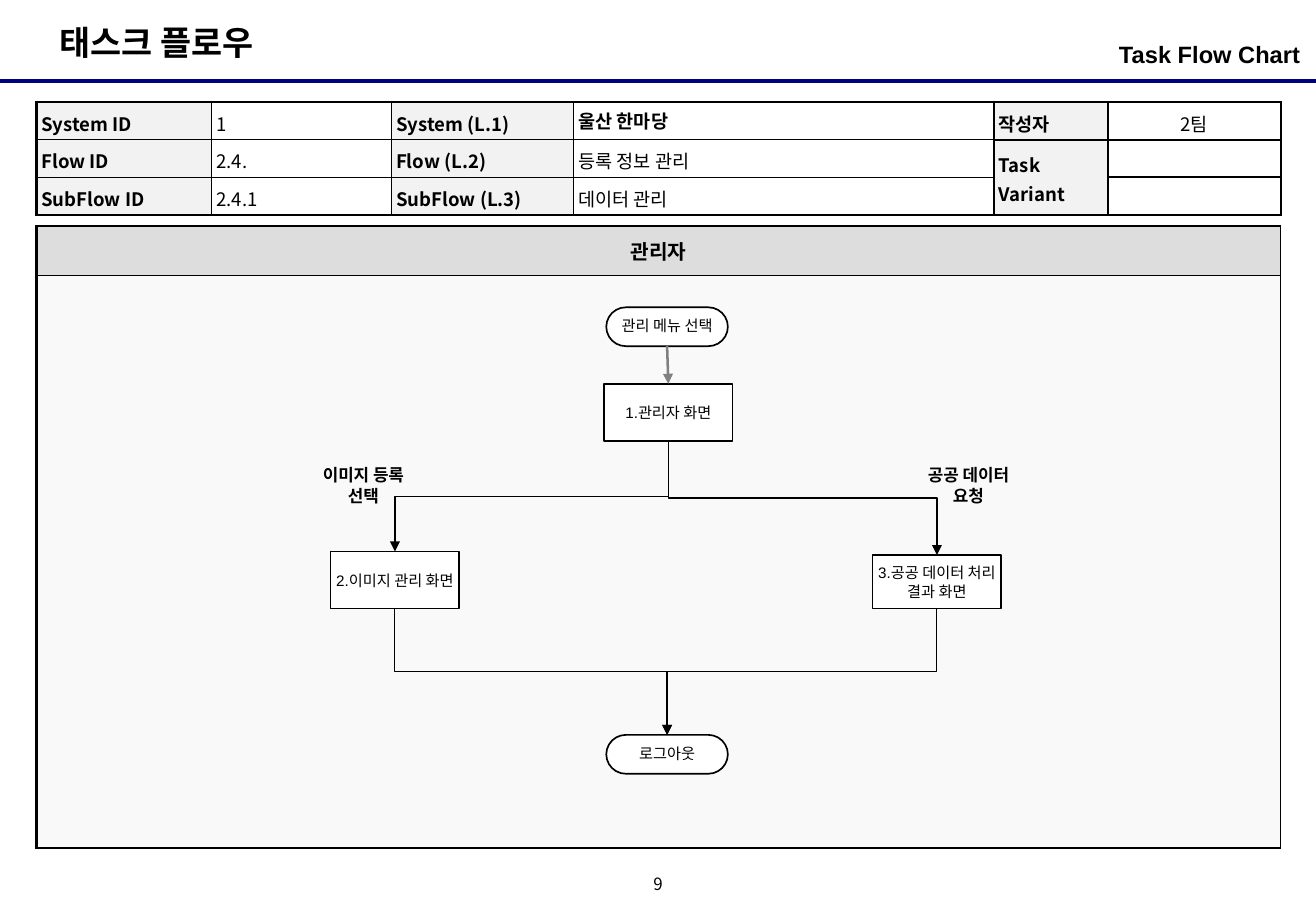
from lxml import etree
from pptx import Presentation
from pptx import util as u
from pptx.dml.color import RGBColor
from pptx.enum import shapes, text
from pptx.oxml.ns import qn

BLACK = RGBColor(0x00, 0x00, 0x00)
WHITE = RGBColor(0xFF, 0xFF, 0xFF)
NAVY = RGBColor(0x00, 0x00, 0x80)
GRAY = RGBColor(0x80, 0x80, 0x80)
HEADING_FILL = RGBColor(0xDD, 0xDD, 0xDD)
LABEL_FILL = RGBColor(0xF2, 0xF2, 0xF2)
FLOW_FILL = RGBColor(0xF9, 0xF9, 0xF9)

ARIAL = "Arial"
NOTO = "Noto Sans CJK KR"
LEFT, CENTER, RIGHT = text.PP_ALIGN.LEFT, text.PP_ALIGN.CENTER, text.PP_ALIGN.RIGHT
TOP, MIDDLE = text.MSO_ANCHOR.TOP, text.MSO_ANCHOR.MIDDLE

TERMINATOR = shapes.MSO_SHAPE.FLOWCHART_TERMINATOR
SCREEN = shapes.MSO_SHAPE.RECTANGLE
TOP_SITE, BOTTOM_SITE = 0, 2

LABEL_COLUMNS = (0, 2, 4)
FLOW_INFO = [
    ["System ID", "1", "System (L.1)", "울산 한마당", "작성자", "2팀"],
    ["Flow ID", "2.4.", "Flow (L.2)", "등록 정보 관리", "Task Variant", ""],
    ["SubFlow ID", "2.4.1", "SubFlow (L.3)", "데이터 관리", "", ""],
]


def apply(target, values):
    for name, value in values.items():
        setattr(target, name, value)


def margins(horizontal, vertical):
    return {"margin_left": u.Inches(horizontal), "margin_right": u.Inches(horizontal),
            "margin_top": u.Inches(vertical), "margin_bottom": u.Inches(vertical)}


def write(frame, wording, size, font=NOTO, bold=False, **layout):
    paragraph = frame.paragraphs[0]
    apply(paragraph, layout)
    if not wording:
        etree.SubElement(paragraph._p, qn("a:endParaRPr"), sz=str(size * 100))
        return
    run = paragraph.add_run()
    run.text = wording
    apply(run.font, {"size": u.Pt(size), "name": font, "bold": bold})
    run.font.color.rgb = BLACK
    etree.SubElement(run._r.get_or_add_rPr(), qn("a:ea"), typeface=NOTO)


def add_label(slide, box, wording, size, frame_format, **style):
    label = slide.shapes.add_textbox(*map(u.Inches, box))
    apply(label.text_frame, {"word_wrap": True, **frame_format})
    write(label.text_frame, wording, size, **style)


def add_step(slide, kind, box, wording, **layout):
    step = slide.shapes.add_shape(kind, *map(u.Inches, box))
    step.shadow.inherit = False
    step.fill.solid()
    step.fill.fore_color.rgb = WHITE
    step.line.color.rgb = BLACK
    step.line.width = u.Pt(1)
    apply(step.text_frame, {"word_wrap": True, "vertical_anchor": MIDDLE, **margins(0.02, 0)})
    write(step.text_frame, wording, 9, ARIAL, alignment=CENTER, **layout)
    return step


def style_line(line, color, width, arrow=False):
    line.line.color.rgb = color
    line.line.width = u.Pt(width)
    properties = line._element.spPr
    if arrow:
        etree.SubElement(properties.find(qn("a:ln")), qn("a:tailEnd"), type="triangle")
    etree.SubElement(properties, qn("a:effectLst"))


def connect(slide, kind, source, target, color=BLACK, width=0.75):
    arrow = slide.shapes.add_connector(kind, 0, 0, 0, 0)
    arrow.begin_connect(source, BOTTOM_SITE)
    arrow.end_connect(target, TOP_SITE)
    if kind == shapes.MSO_CONNECTOR.ELBOW:
        turn_downward(arrow)
    style_line(arrow, color, width, arrow=True)


def turn_downward(arrow):
    """Rotate an elbow so that it leaves and arrives vertically."""
    run, drop = arrow.end_x - arrow.begin_x, arrow.end_y - arrow.begin_y
    middle_x = (arrow.begin_x + arrow.end_x) // 2
    middle_y = (arrow.begin_y + arrow.end_y) // 2
    apply(arrow, {"left": middle_x - drop // 2, "top": middle_y - abs(run) // 2,
                  "width": drop, "height": abs(run)})
    apply(arrow._element.spPr.xfrm, {"rot": 270.0 if run > 0 else 90.0, "flipH": run > 0})


def add_grid(slide, left, top, column_widths, row_heights):
    frame = slide.shapes.add_table(
        len(row_heights), len(column_widths), u.Inches(left), u.Inches(top),
        u.Inches(sum(column_widths)), u.Inches(sum(row_heights)))
    table = frame.table
    apply(table, {"first_row": False, "horz_banding": False})
    for column, width in zip(table.columns, column_widths):
        column.width = u.Inches(width)
    for row, height in zip(table.rows, row_heights):
        row.height = u.Inches(height)
    return table


def style_cell(cell, fill, borders):
    """Set the fill and the left, right, top and bottom border widths in points."""
    if fill is None:
        cell.fill.background()
    else:
        cell.fill.solid()
        cell.fill.fore_color.rgb = fill
    properties = cell._tc.get_or_add_tcPr()
    for place, (side, width) in enumerate(zip("LRTB", borders)):
        border = etree.Element(qn(f"a:ln{side}"), w=str(int(u.Pt(width))))
        solid = etree.SubElement(border, qn("a:solidFill"))
        etree.SubElement(solid, qn("a:srgbClr"), val=str(BLACK))
        properties.insert(place, border)


def add_flow_info(slide):
    widths = [1.44, 1.48, 1.5, 3.46, 0.94, 1.42]
    table = add_grid(slide, 0.3, 0.84, widths, [0.31] * 3)
    table.cell(1, 4).merge(table.cell(2, 4))
    last_row, last_column = len(FLOW_INFO) - 1, len(widths) - 1
    for r, row in enumerate(FLOW_INFO):
        for c, wording in enumerate(row):
            cell = table.cell(r, c)
            is_label, is_system_name = c in LABEL_COLUMNS, (r, c) == (0, 3)
            heavy = (c == 0, c == last_column, r == 0 or c >= 4, r == last_row or c >= 4)
            style_cell(cell, LABEL_FILL if is_label else None,
                       [1.5 if edge else 1 for edge in heavy])
            apply(cell, {"vertical_anchor": MIDDLE if c >= 4 else TOP, **margins(0.04, 0.04)})
            spacing = {} if is_system_name else {
                "line_spacing": 1.1, "space_before": u.Pt(1.1), "space_after": u.Pt(1.1)}
            write(cell.text_frame, wording, 11, bold=is_label or is_system_name,
                  alignment=CENTER if c == last_column else LEFT, **spacing)


def add_flow_area(slide):
    table = add_grid(slide, 0.3, 1.86, [10.24], [0.41, 4.71])
    heading, area = table.cell(0, 0), table.cell(1, 0)
    style_cell(heading, HEADING_FILL, (1.5, 0.75, 1.5, 0.75))
    style_cell(area, FLOW_FILL, (1.5, 0.75, 0.75, 1.5))
    heading.vertical_anchor = MIDDLE
    write(heading.text_frame, "관리자", 12, bold=True, alignment=CENTER)


def add_page_frame(slide):
    rule = slide.shapes.add_connector(shapes.MSO_CONNECTOR.STRAIGHT, 0, u.Inches(0.67),
                                      u.Inches(10.83), u.Inches(0.67))
    style_line(rule, NAVY, 2.25)
    add_label(slide, (0.39, 0.13, 1.98, 0.44), "태스크 플로우", 20, {"word_wrap": False}, bold=True)
    add_label(slide, (7.39, 0.28, 3.31, 0.39), "Task Flow Chart", 14, margins(0, 0.05),
              font=ARIAL, bold=True, alignment=RIGHT, space_before=u.Pt(2.8))
    add_label(slide, (5.25, 7.17, 0.33, 0.25), "9", 10,
              {"word_wrap": False, "vertical_anchor": MIDDLE, **margins(0, 0)},
              alignment=CENTER, line_spacing=0.8)


def add_flow(slide):
    start = add_step(slide, TERMINATOR, (4.99, 2.53, 1, 0.32), "관리 메뉴 선택", line_spacing=0.9)
    logout = add_step(slide, TERMINATOR, (4.99, 6.05, 1, 0.32), "로그아웃", line_spacing=0.9)
    admin = add_step(slide, SCREEN, (4.97, 3.16, 1.06, 0.47), "1.관리자 화면")
    images = add_step(slide, SCREEN, (2.72, 4.54, 1.06, 0.47), "2.이미지 관리 화면")
    public_data = add_step(slide, SCREEN, (7.18, 4.57, 1.06, 0.44), "3.공공 데이터 처리 결과 화면")

    connect(slide, shapes.MSO_CONNECTOR.STRAIGHT, start, admin, GRAY, 1.5)
    for branch in (images, public_data):
        connect(slide, shapes.MSO_CONNECTOR.ELBOW, admin, branch)
        connect(slide, shapes.MSO_CONNECTOR.ELBOW, branch, logout)
    for left, choice in ((2.48, "이미지 등록 선택"), (7.46, "공공 데이터 요청")):
        add_label(slide, (left, 3.78, 1.02, 0.44), choice, 10, {}, bold=True, alignment=CENTER)


def main():
    deck = Presentation()
    apply(deck, {"slide_width": u.Inches(10.83), "slide_height": u.Inches(7.5)})
    slide = deck.slides.add_slide(deck.slide_layouts[6])
    add_page_frame(slide)
    add_flow_area(slide)
    add_flow_info(slide)
    add_flow(slide)
    deck.save("out.pptx")


if __name__ == "__main__":
    main()
